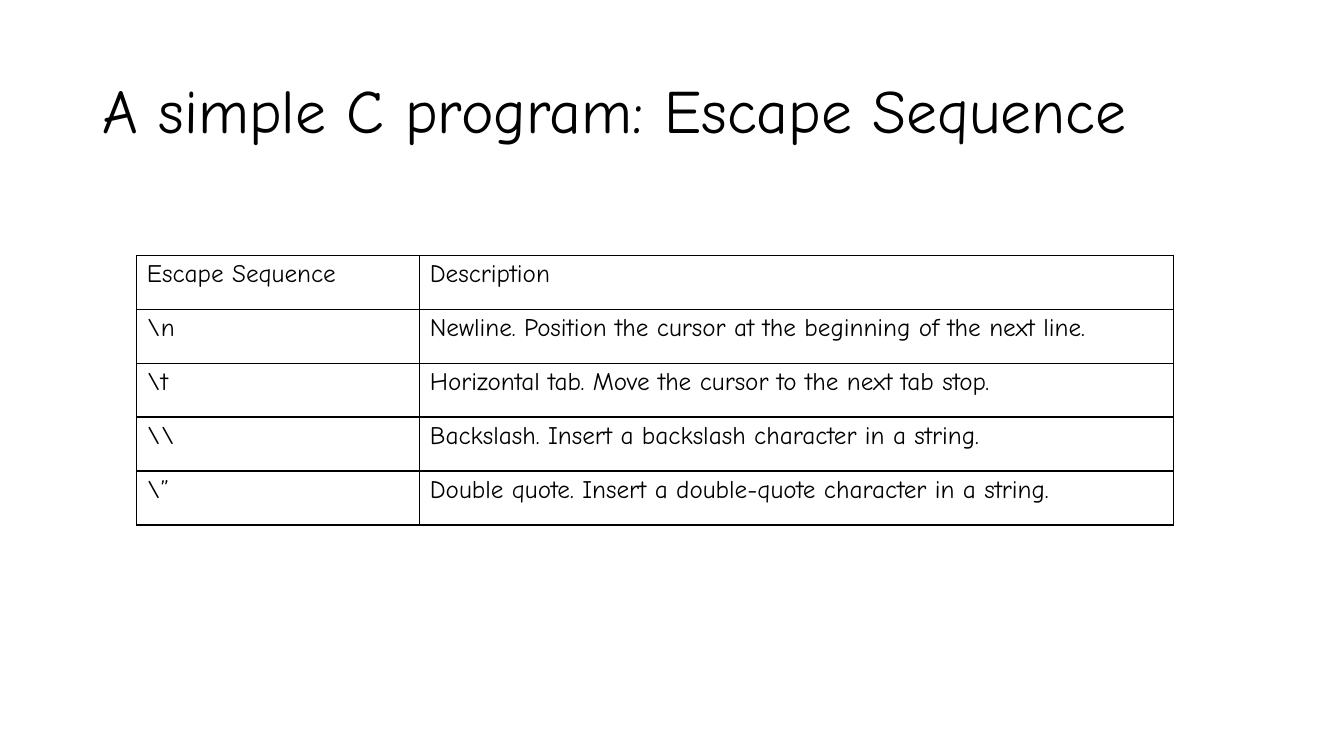
"""Build a slide with a table of C escape sequences."""
from lxml import etree
from pptx import Presentation
from pptx.dml.color import RGBColor
from pptx.enum.text import MSO_ANCHOR
from pptx.oxml.ns import qn
from pptx.util import Cm, Pt

MIDDLE = MSO_ANCHOR.MIDDLE
FONT = "Comic Neue"
COLORS = {"ink": "000000", "paper": "FFFFFF"}
TITLE = "A simple C program: Escape Sequence"
ROWS = [
    ("Escape Sequence", "Description"),
    ("\\n", "Newline. Position the cursor at the beginning of the next line."),
    ("\\t", "Horizontal tab. Move the cursor to the next tab stop."),
    ("\\\\", "Backslash. Insert a backslash character in a string."),
    ("\\”", "Double quote. Insert a double-quote character in a string."),
]
COLUMN_WIDTHS = [Cm(7.13), Cm(19)]
ROW_HEIGHT = Cm(1.36)


def write(frame, text, size):
    para = frame.paragraphs[0]
    span = para.add_run()
    span.text = text
    span.font.name = FONT
    span.font.size = Pt(size)
    span.font.bold = False
    span.font.color.rgb = RGBColor.from_string(COLORS["ink"])
    return para


def add_borders(cell):
    properties = cell._tc.get_or_add_tcPr()
    for index, side in enumerate(("a:lnL", "a:lnR", "a:lnT", "a:lnB")):
        line = etree.Element(qn(side), w=str(Pt(1)))
        fill = etree.SubElement(line, qn("a:solidFill"))
        etree.SubElement(fill, qn("a:srgbClr"), val=COLORS["ink"])
        properties.insert(index, line)


deck = Presentation()
deck.slide_width, deck.slide_height = Cm(33.87), Cm(19.05)
page = deck.slides.add_slide(deck.slide_layouts[6])
page.background.fill.solid()
page.background.fill.fore_color.rgb = RGBColor.from_string(COLORS["paper"])

title_box = page.shapes.add_textbox(Cm(2.33), Cm(1.01), Cm(29.21), Cm(3.68))
title_box.text_frame.word_wrap = True
title_box.text_frame.vertical_anchor = MIDDLE
write(title_box.text_frame, TITLE, 44).line_spacing = 0.9

table = page.shapes.add_table(
    len(ROWS), len(COLUMN_WIDTHS), Cm(3.45), Cm(6.43),
    sum(COLUMN_WIDTHS), ROW_HEIGHT * len(ROWS),
).table
table.first_row = table.horz_banding = False
for column, width in zip(table.columns, COLUMN_WIDTHS):
    column.width = width
for row, texts in zip(table.rows, ROWS):
    row.height = ROW_HEIGHT
    for cell, text in zip(row.cells, texts):
        cell.fill.background()
        add_borders(cell)
        write(cell.text_frame, text, 18)

deck.save("out.pptx")
